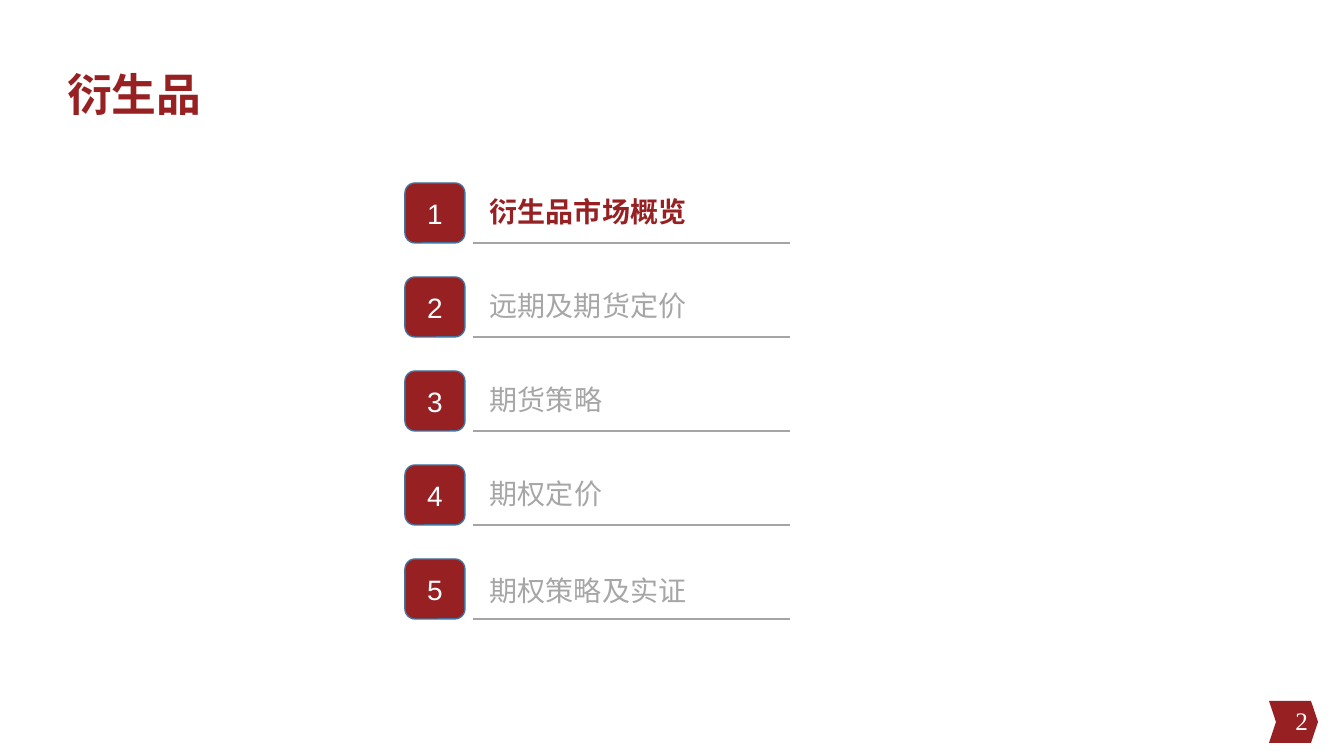
from dataclasses import dataclass

from lxml import etree
from pptx import Presentation
from pptx import util as u
from pptx.dml.color import RGBColor
from pptx.enum import shapes, text
from pptx.oxml.ns import qn


@dataclass(frozen=True)
class Theme:
    red: str = "972022"
    muted: str = "A6A6A6"
    rule: str = "A5A5A5"
    outline: str = "43739E"
    white: str = "FFFFFF"
    serif: str = "Times New Roman"
    sans: str = "Arial"
    title_size: int = 32
    agenda_size: int = 20
    page_size: int = 18


def px(length):
    return u.Inches(length / 100.8)


class SlideBuilder:
    def __init__(self, slide, theme):
        self.slide = slide
        self.theme = theme

    def set_text(self, shape, content, size, color, font, bold=False,
                 align=text.PP_ALIGN.LEFT, anchor=text.MSO_ANCHOR.TOP):
        frame = shape.text_frame
        frame.word_wrap = True
        frame.auto_size = text.MSO_AUTO_SIZE.NONE
        frame.vertical_anchor = anchor
        frame.text = content
        paragraph = frame.paragraphs[0]
        paragraph.alignment = align
        paragraph.font.size = u.Pt(size)
        paragraph.font.name = font
        paragraph.font.bold = bold
        paragraph.font.color.rgb = RGBColor.from_string(color)

    def title(self, content, left, top, width, height):
        shape = self.slide.shapes.title
        shape.left, shape.top = px(left), px(top)
        shape.width, shape.height = px(width), px(height)
        self.set_text(shape, content, self.theme.title_size, self.theme.red,
                      self.theme.serif, bold=True)

    def label(self, content, left, top, width, height, size, color, **style):
        shape = self.slide.shapes.add_textbox(
            px(left), px(top), px(width), px(height))
        self.set_text(shape, content, size, color, self.theme.serif, **style)

    def block(self, kind, left, top, width, height, outline=None):
        shape = self.slide.shapes.add_shape(
            kind, px(left), px(top), px(width), px(height))
        shape.shadow.inherit = False
        shape.fill.solid()
        shape.fill.fore_color.rgb = RGBColor.from_string(self.theme.red)
        if outline:
            shape.line.color.rgb = RGBColor.from_string(outline)
            shape.line.width = u.Pt(1)
        else:
            shape.line.fill.background()
        return shape

    def badge(self, number, left, top, side):
        shape = self.block(shapes.MSO_SHAPE.ROUNDED_RECTANGLE,
                           left, top, side, side, self.theme.outline)
        self.set_text(shape, str(number), self.theme.agenda_size,
                      self.theme.white, self.theme.sans,
                      align=text.PP_ALIGN.CENTER,
                      anchor=text.MSO_ANCHOR.MIDDLE)

    def rule(self, left, right, y):
        line = self.slide.shapes.add_connector(
            shapes.MSO_CONNECTOR.STRAIGHT, px(left), px(y), px(right), px(y))
        line.line.color.rgb = RGBColor.from_string(self.theme.rule)
        line.line.width = u.Pt(1)
        etree.SubElement(line._element.spPr, qn("a:effectLst"))

    def page_number(self, number):
        chevron = self.block(shapes.MSO_SHAPE.CHEVRON, 1269, 701, 49, 42)
        chevron.adjustments[0] = 0.167
        self.label(str(number), 1016, 700, 302, 40, self.theme.page_size,
                   self.theme.white, align=text.PP_ALIGN.RIGHT,
                   anchor=text.MSO_ANCHOR.MIDDLE)


# Label, text width and extra drop of each agenda row
AGENDA = [
    ("衍生品市场概览", 491, 0),
    ("远期及期货定价", 491, 0),
    ("期货策略", 483, 0),
    ("期权定价", 483, 0),
    ("期权策略及实证", 671, 3),
]
CURRENT_ROW = 0
FIRST_TOP, ROW_PITCH = 183, 94


def main():
    presentation = Presentation()
    presentation.slide_width, presentation.slide_height = px(1344), px(756)
    theme = Theme()
    slide = presentation.slides.add_slide(presentation.slide_layouts[5])
    builder = SlideBuilder(slide, theme)

    # Title and page marker
    builder.title("衍生品", 57, 62, 1159, 86)
    builder.page_number(2)

    # Agenda rows, with the current chapter highlighted
    for row, (name, width, drop) in enumerate(AGENDA):
        top = FIRST_TOP + row * ROW_PITCH
        current = row == CURRENT_ROW
        builder.badge(row + 1, 405, top, 60)
        builder.rule(473, 790, top + 60)
        builder.label(name, 480, top + 7 + drop, width, 44, theme.agenda_size,
                      theme.red if current else theme.muted, bold=current)

    presentation.save("out.pptx")


if __name__ == "__main__":
    main()
